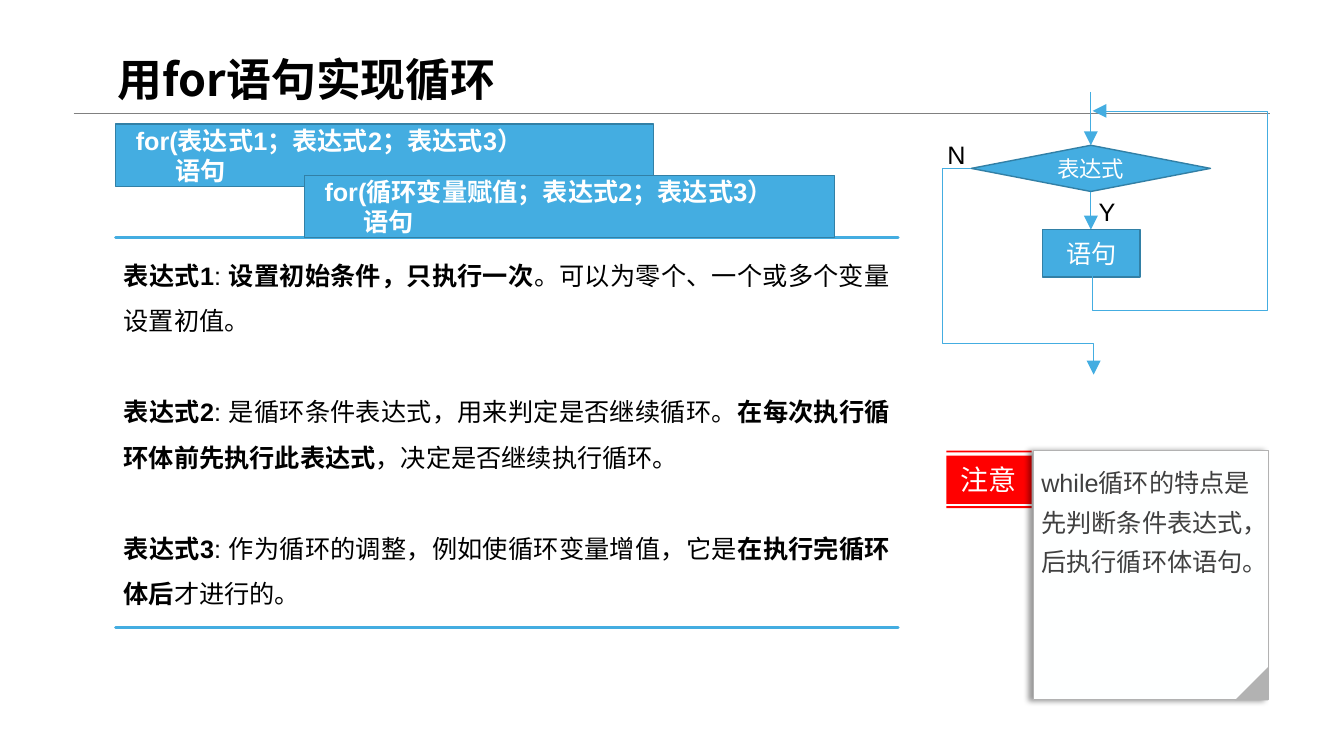
import pptx
import pptx.util
import pptx.dml.color
import pptx.enum.shapes
import pptx.enum.text
import pptx.oxml
import pptx.oxml.ns

Pt = pptx.util.Pt
SHAPE = pptx.enum.shapes.MSO_SHAPE
ANCHOR = pptx.enum.text.MSO_ANCHOR
ALIGN = pptx.enum.text.PP_ALIGN

COLORS = {
    "blue": "44ADE1", "edge": "3280A6", "red": "FF0000", "paper": "FEFFFF",
    "fold": "B2B2B2", "rule": "808080", "ink": "404040", "black": "000000",
    "white": "FFFFFF",
}
LATIN, CJK = "Arial", "Noto Sans CJK SC"
NS = pptx.oxml.ns.nsdecls("a")


def rgb(name):
    return pptx.dml.color.RGBColor.from_string(COLORS[name])


class SlideBuilder:
    """Holds the slide and its style; one method per kind of element."""

    def __init__(self, slide):
        self.slide = slide
        self.shapes = slide.shapes

    def stroke(self, line, color, width, arrow=False):
        if color is None:
            line.fill.background()
            return
        line.color.rgb = rgb(color)
        line.width = Pt(width)
        if arrow:
            line._get_or_add_ln().append(pptx.oxml.parse_xml(
                f'<a:tailEnd {NS} type="triangle" w="lg" len="lg"/>'))

    def paint(self, sp, fill, line, width, arrow=False):
        sp.shadow.inherit = False
        if fill:
            sp.fill.solid()
            sp.fill.fore_color.rgb = rgb(fill)
        else:
            sp.fill.background()
        self.stroke(sp.line, line, width, arrow)

    def set_text(self, sp, paragraphs, size, color, bold=None, align=ALIGN.LEFT,
                 anchor=ANCHOR.TOP, insets=(7.2, 3.6, 7.2, 3.6), spacing=None,
                 gap=0, indents=(), font=LATIN):
        """Each paragraph is a list of (text, bold) runs or a plain string."""
        tf = sp.text_frame
        tf.word_wrap = True
        tf.auto_size = pptx.enum.text.MSO_AUTO_SIZE.NONE
        tf.vertical_anchor = anchor
        (tf.margin_left, tf.margin_top,
         tf.margin_right, tf.margin_bottom) = map(Pt, insets)
        for i, runs in enumerate(paragraphs):
            p = tf.add_paragraph() if i else tf.paragraphs[0]
            p.alignment = align
            if spacing:
                p.line_spacing = spacing
            if gap and i:
                p.space_before = Pt(gap)
            p.font.size = Pt(size)
            p.font.name = font
            p.font.bold = bold
            p.font.color.rgb = rgb(color)
            pPr = p._p.get_or_add_pPr()
            pPr.find(pptx.oxml.ns.qn("a:defRPr")).append(
                pptx.oxml.parse_xml(f'<a:ea {NS} typeface="{CJK}"/>'))
            if indents:
                pPr.set("marL", str(Pt(indents[i])))
                pPr.set("indent", "0")
            for text, strong in ([(runs, None)] if isinstance(runs, str) else runs):
                r = p.add_run()
                r.text = text
                if strong is not None:
                    r.font.bold = strong

    def title(self, text, x, y, w, h):
        sp = self.shapes.title
        sp.left, sp.top, sp.width, sp.height = map(Pt, (x, y, w, h))
        self.set_text(sp, [text], 32, "black", bold=True, anchor=ANCHOR.BOTTOM,
                      spacing=0.9, font=CJK)

    def shape(self, kind, x, y, w, h, fill="blue", line="edge", width=1):
        sp = self.shapes.add_shape(kind, *map(Pt, (x, y, w, h)))
        self.paint(sp, fill, line, width)
        return sp

    def label(self, text, x, y):
        sp = self.shapes.add_textbox(*map(Pt, (x, y, 36, 29)))
        self.set_text(sp, [text], 18, "black")

    def line(self, x1, y1, x2, y2, color="blue", width=0.5, arrow=False):
        cx = self.shapes.add_connector(
            pptx.enum.shapes.MSO_CONNECTOR.STRAIGHT, *map(Pt, (x1, y1, x2, y2)))
        self.stroke(cx.line, color, width, arrow)
        cx._element.spPr.append(pptx.oxml.parse_xml(f"<a:effectLst {NS}/>"))

    def outline(self, contours, closed=False, fill=None, line="blue", width=0.5,
                arrow=False):
        contours = [[(Pt(x), Pt(y)) for x, y in c] for c in contours]
        fb = self.shapes.build_freeform(*contours[0][0])
        for i, (start, *rest) in enumerate(contours):
            if i:
                fb.move_to(*start)
            fb.add_line_segments(rest, close=closed)
        sp = fb.convert_to_shape()
        self.paint(sp, fill, line, width, arrow)
        return sp

    def code_box(self, header, x, y, w):
        sp = self.shape(SHAPE.RECTANGLE, x, y, w, 44.6)
        self.set_text(sp, [header, "语句"], 18, "white", bold=True,
                      anchor=ANCHOR.MIDDLE, insets=(14.4, 3.6, 7.2, 3.6),
                      indents=(0, 28))

    def soft_shadow(self, sp):
        effects = sp._element.spPr.find(pptx.oxml.ns.qn("a:effectLst"))
        effects.append(pptx.oxml.parse_xml(
            f'<a:outerShdw {NS} blurRad="{Pt(4)}" dist="{Pt(3)}" dir="10800000" '
            'algn="r" rotWithShape="0"><a:srgbClr val="000000">'
            '<a:alpha val="40000"/></a:srgbClr></a:outerShdw>'))


def main():
    prs = pptx.Presentation()
    prs.slide_width, prs.slide_height = Pt(960), Pt(540)
    s = SlideBuilder(prs.slides.add_slide(prs.slide_layouts[5]))

    # Title and rule
    s.line(52.6, 80.8, 907, 80.8, color="rule", width=0.25)
    s.title("用for语句实现循环", 77, 26.6, 466.6, 52.6)

    # General form of the loop
    s.code_box("for(表达式1；表达式2；表达式3）", 82.6, 88.6, 384.4)

    # Explanation between two rules
    body = s.outline([[(82.6, y), (641.5, y), (82.6, y)] for y in (448.2, 169.4)],
                     closed=True, width=2)
    s.set_text(body, [
        [("表达式1", True), (": ", False), ("设置初始条件，只执行一次", True),
         ("。可以为零个、一个或多个变量设置初值。", False)],
        [("表达式2", True), (": 是循环条件表达式，用来判定是否继续循环。", False),
         ("在每次执行循环体前先执行此表达式", True),
         ("，决定是否继续执行循环。", False)],
        [("表达式3", True), (": 作为循环的调整，例如使循环变量增值，它是", False),
         ("在执行完循环体后", True), ("才进行的。", False)],
    ], 18, "black", align=ALIGN.JUSTIFY, insets=(5.8,) * 4, spacing=1.5, gap=32.5)

    # Notice banner: a band with a thin strip above and below
    left, right = 676, 736.8
    banner = s.outline(
        [[(left, y), (right, y), (right, y + h), (left, y + h)]
         for y, h in ((361.6, 1.4), (325.4, 34.6), (321.8, 1.4))],
        closed=True, fill="red", line=None)
    s.set_text(banner, ["注意"], 20, "paper", align=ALIGN.CENTER,
               anchor=ANCHOR.MIDDLE)

    # Note paper with folded corner
    note = s.shape(SHAPE.RECTANGLE, 738, 321.8, 167.8, 178.2, "paper", "fold", 0.75)
    s.soft_shadow(note)
    s.set_text(note, ["while循环的特点是先判断条件表达式，后执行循环体语句。"],
               18, "ink", insets=(5.8,) * 4, spacing=1.3)
    corner = s.shape(SHAPE.RIGHT_TRIANGLE, 882, 476.4, 23.8, 23.8, "fold", None)
    corner.rotation = 270

    # Flowchart
    mid = 779.2
    s.line(mid, 65.6, mid, 103.8, arrow=True)
    test = s.shape(SHAPE.FLOWCHART_DECISION, 693.8, 103.8, 170.8, 33)
    s.line(mid, 136.8, mid, 164, arrow=True)
    step = s.shape(SHAPE.RECTANGLE, 744.8, 164, 69.6, 34)
    for sp, text, size in ((test, "表达式", 16), (step, "语句", 18)):
        s.set_text(sp, [text], size, "white", align=ALIGN.CENTER,
                   anchor=ANCHOR.MIDDLE)
    loop_back = [(780.4, 196), (780.4, 221.8), (905.6, 221.8), (905.6, 79.2),
                 (780.4, 79.2)]
    leave = [(693.4, 120.2), (673.2, 120.2), (673.2, 245), (781.2, 245),
             (781.2, 267.6)]
    for route in (loop_back, leave):
        s.outline([route], arrow=True)
    s.label("Y", 777.6, 136.4)
    s.label("N", 669.6, 96.2)

    # Form with an assigned loop variable
    s.code_box("for(循环变量赋值；表达式2；表达式3）", 217.4, 125.2, 378.8)

    prs.save("out.pptx")


if __name__ == "__main__":
    main()
